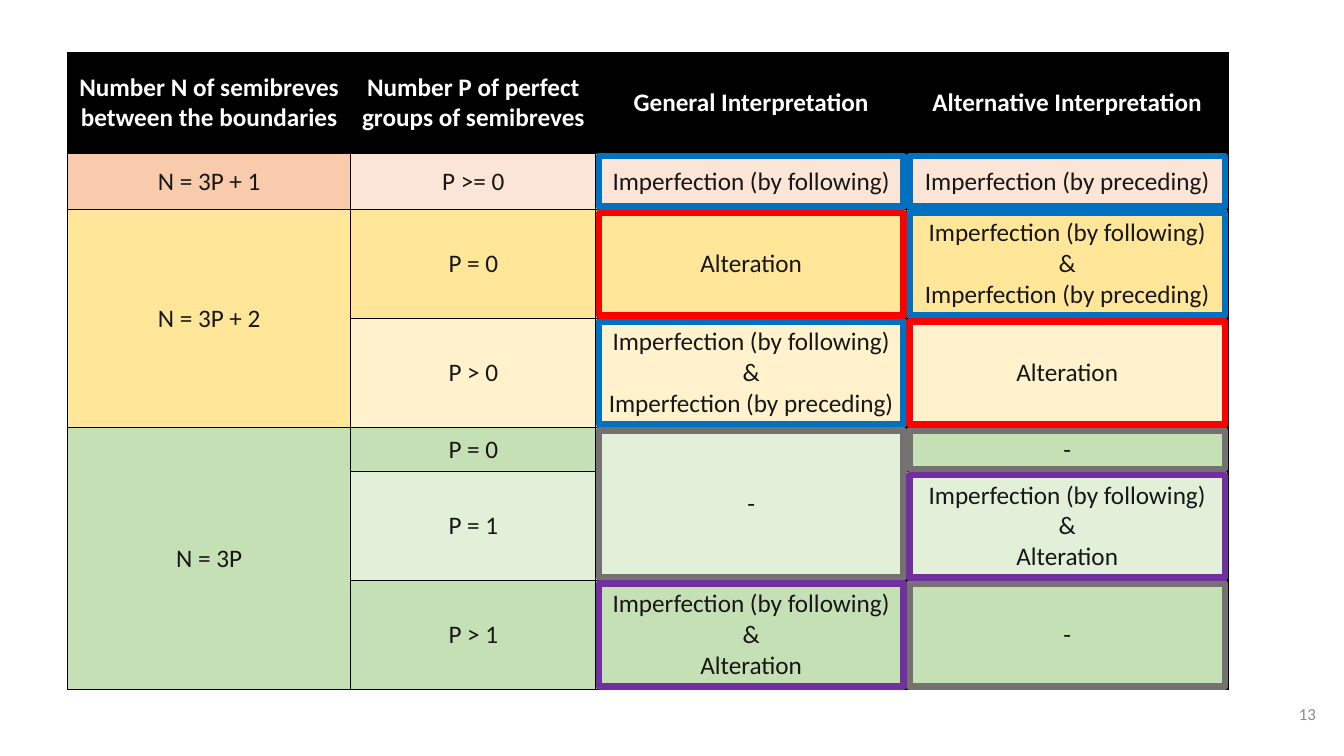
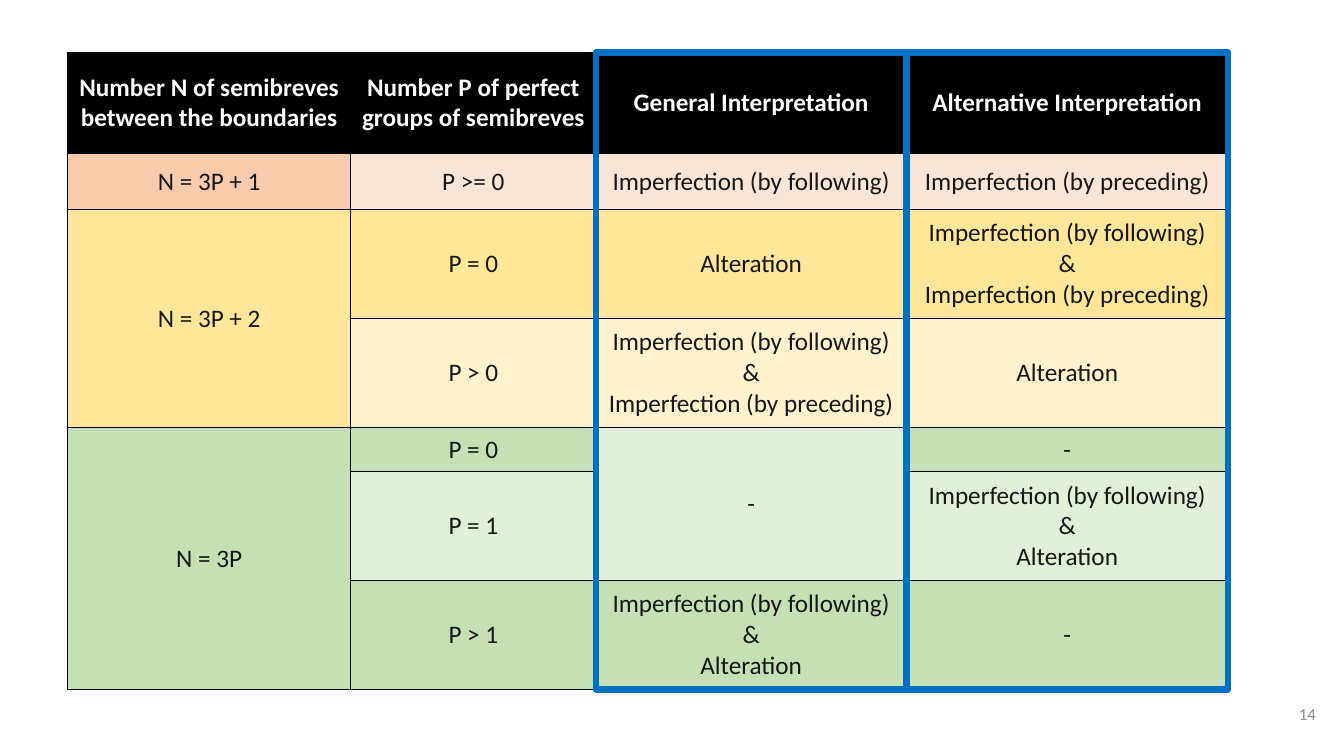
from lxml.etree import SubElement
from pptx import Presentation
from pptx.dml.color import RGBColor
from pptx.enum.shapes import MSO_SHAPE
from pptx.enum.text import MSO_ANCHOR, PP_ALIGN
from pptx.oxml.ns import qn
from pptx.util import Inches, Pt

COLOURS = {
    "black": "000000", "white": "FFFFFF", "ink": "181717", "page_number": "8C8C8C",
    "orange": "F8CBAD", "orange_pale": "FBE5D6",
    "yellow": "FFE699", "yellow_pale": "FFF2CC",
    "green": "C5E0B4", "green_pale": "E2F0D9",
    "imperfection": "0070C0", "alteration": "FF0000",
    "combined": "7030A0", "none": "767171",
}
HEADER_FORMAT = {"name": "Calibri", "size": Pt(18), "bold": True}
BODY_FORMAT = {"name": "Calibri", "size": Pt(18), "bold": False}
NUMBER_FORMAT = {"name": "Calibri", "size": Pt(12)}

TABLE_LEFT, TABLE_TOP = 0.67, 0.52
COLUMN_WIDTHS = [2.81, 2.43, 3.08, 3.19]
ROW_HEIGHTS = [1, 0.56, 1.08, 1.08, 0.44, 1.08, 1.08]
GENERAL, ALTERNATIVE = 2, 3
FRAME_INSET = 0.03

FOLLOWING = "Imperfection (by following)"
PRECEDING = "Imperfection (by preceding)"
BOTH_IMPERFECTIONS = f"{FOLLOWING}\n&\n{PRECEDING}"
WITH_ALTERATION = f"{FOLLOWING}\n&\nAlteration"

HEADER = ["Number N of semibreves between the boundaries",
          "Number P of perfect groups of semibreves",
          "General Interpretation", "Alternative Interpretation"]
ROWS = [
    ("black", "black", HEADER),
    ("orange", "orange_pale", ["N = 3P + 1", "P >= 0", FOLLOWING, PRECEDING]),
    ("yellow", "yellow", ["N = 3P + 2", "P = 0", "Alteration", BOTH_IMPERFECTIONS]),
    ("yellow", "yellow_pale", ["", "P > 0", BOTH_IMPERFECTIONS, "Alteration"]),
    ("green", "green", ["N = 3P", "P = 0", "-", "-"]),
    ("green", "green_pale", ["", "P = 1", "", WITH_ALTERATION]),
    ("green", "green", ["", "P > 1", WITH_ALTERATION, "-"]),
]
MERGED_ROWS = {(2, 0): 2, (4, 0): 3, (4, GENERAL): 2}
SPECIAL_FILLS = {(4, GENERAL): "green_pale"}
CELL_FRAMES = [
    (1, GENERAL, "imperfection"), (1, ALTERNATIVE, "imperfection"),
    (2, ALTERNATIVE, "imperfection"), (3, GENERAL, "imperfection"),
    (4, GENERAL, "none"), (4, ALTERNATIVE, "none"), (6, ALTERNATIVE, "none"),
    (5, ALTERNATIVE, "combined"), (6, GENERAL, "combined"),
    (2, GENERAL, "alteration"), (3, ALTERNATIVE, "alteration"),
]


def rgb(name):
    """Return the named colour."""
    return RGBColor.from_string(COLOURS[name])


def format_text(text_frame, values, colour, alignment):
    """Format every paragraph of a text frame."""
    for para in text_frame.paragraphs:
        para.alignment = alignment
        for span in para.runs:
            for attribute, value in values.items():
                setattr(span.font, attribute, value)
            span.font.color.rgb = rgb(colour)


def add_borders(cell):
    """Draw a thin black line on each side of a cell."""
    properties = cell._tc.get_or_add_tcPr()
    for side in ("a:lnL", "a:lnR", "a:lnT", "a:lnB"):
        line = SubElement(properties, qn(side), w=str(Pt(1)))
        fill = SubElement(line, qn("a:solidFill"))
        SubElement(fill, qn("a:srgbClr"), val=COLOURS["black"])


def fill_cell(cell, text, fill, is_header):
    """Write and format one table cell."""
    add_borders(cell)
    cell.fill.solid()
    cell.fill.fore_color.rgb = rgb(fill)
    cell.vertical_anchor = MSO_ANCHOR.MIDDLE
    cell.text = text
    values, colour = (HEADER_FORMAT, "white") if is_header else (BODY_FORMAT, "ink")
    format_text(cell.text_frame, values, colour, PP_ALIGN.CENTER)


def add_rules_table(page):
    """Add the table of interpretation rules."""
    table = page.shapes.add_table(
        len(ROWS), len(HEADER), Inches(TABLE_LEFT), Inches(TABLE_TOP),
        Inches(sum(COLUMN_WIDTHS)), Inches(sum(ROW_HEIGHTS))).table
    table.horz_banding = False
    for column, width in zip(table.columns, COLUMN_WIDTHS):
        column.width = Inches(width)
    for row, height in zip(table.rows, ROW_HEIGHTS):
        row.height = Inches(height)
    for row, (first_fill, row_fill, texts) in enumerate(ROWS):
        for column, text in enumerate(texts):
            fill = SPECIAL_FILLS.get((row, column), row_fill if column else first_fill)
            fill_cell(table.cell(row, column), text, fill, row == 0)
    for (row, column), count in MERGED_ROWS.items():
        table.cell(row, column).merge(table.cell(row + count - 1, column))


def add_frame(page, row, column, row_count, colour, inset=0.0):
    """Outline a run of cells in one column."""
    left = TABLE_LEFT + sum(COLUMN_WIDTHS[:column]) + inset
    top = TABLE_TOP + sum(ROW_HEIGHTS[:row]) + inset
    width = COLUMN_WIDTHS[column] - 2 * inset
    height = sum(ROW_HEIGHTS[row:row + row_count]) - 2 * inset
    frame = page.shapes.add_shape(
        MSO_SHAPE.RECTANGLE, Inches(left), Inches(top), Inches(width), Inches(height))
    frame.shadow.inherit = False
    frame.fill.background()
    frame.line.color.rgb = rgb(colour)
    frame.line.width = Pt(4.5)


def add_page_number(page, number):
    """Add the page number at the bottom right."""
    box = page.shapes.add_textbox(Inches(12.35), Inches(6.8), Inches(0.8), Inches(0.57))
    text_frame = box.text_frame
    text_frame.word_wrap = True
    text_frame.vertical_anchor = MSO_ANCHOR.MIDDLE
    for side in ("left", "top", "right", "bottom"):
        setattr(text_frame, f"margin_{side}", Inches(0.1))
    text_frame.text = str(number)
    format_text(text_frame, NUMBER_FORMAT, "page_number", PP_ALIGN.RIGHT)


def add_rules_page(deck, number):
    """Add a page with the table and its number."""
    page = deck.slides.add_slide(deck.slide_layouts[6])
    add_page_number(page, number)
    add_rules_table(page)
    return page


def main():
    """Build and save the deck."""
    deck = Presentation()
    deck.slide_width, deck.slide_height = Inches(13.33), Inches(7.5)

    page = add_rules_page(deck, 13)
    for row, column, colour in CELL_FRAMES:
        add_frame(page, row, column, MERGED_ROWS.get((row, column), 1), colour, FRAME_INSET)

    page = add_rules_page(deck, 14)
    for column in (GENERAL, ALTERNATIVE):
        add_frame(page, 0, column, len(ROWS), "imperfection")

    deck.save("out.pptx")


if __name__ == "__main__":
    main()
